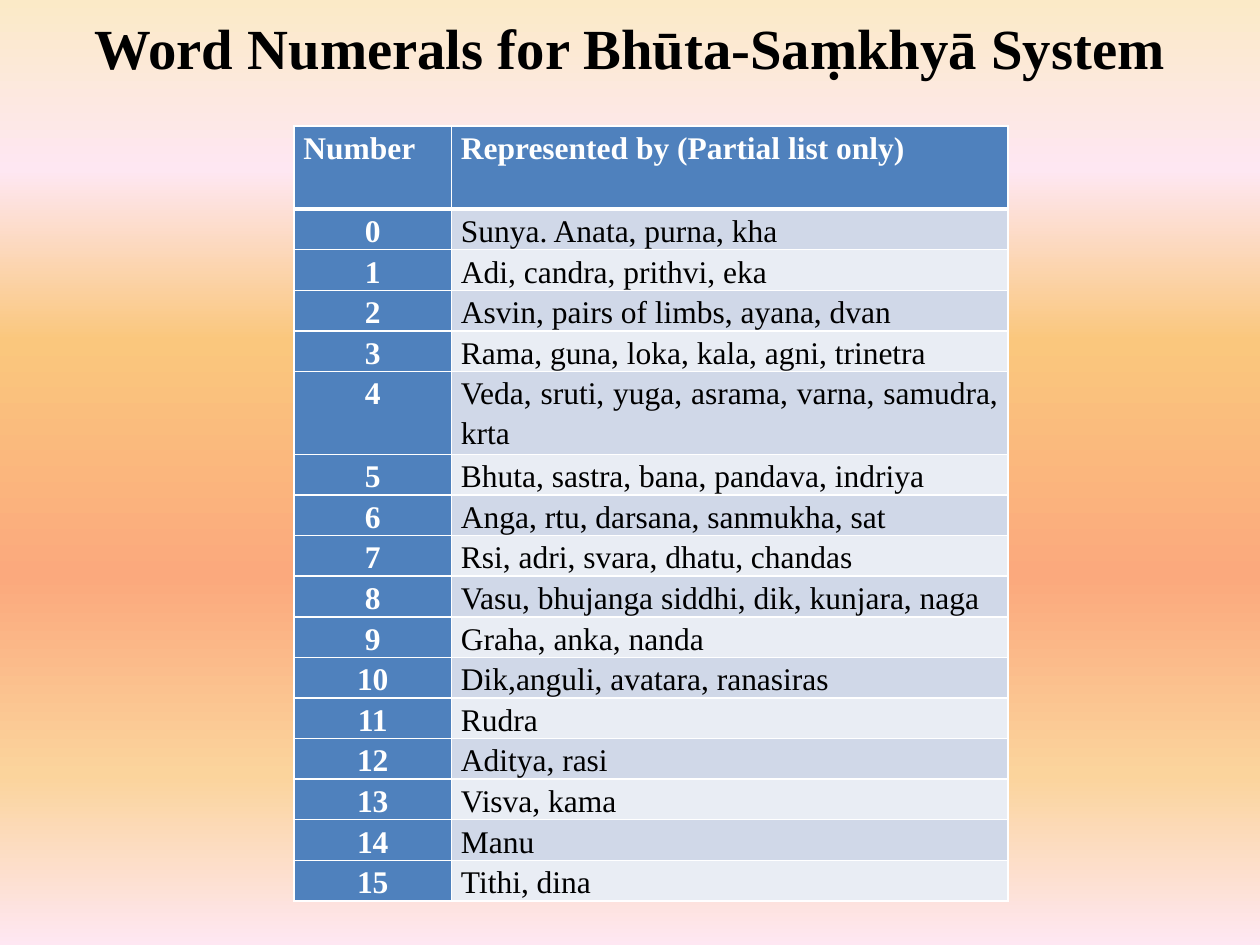
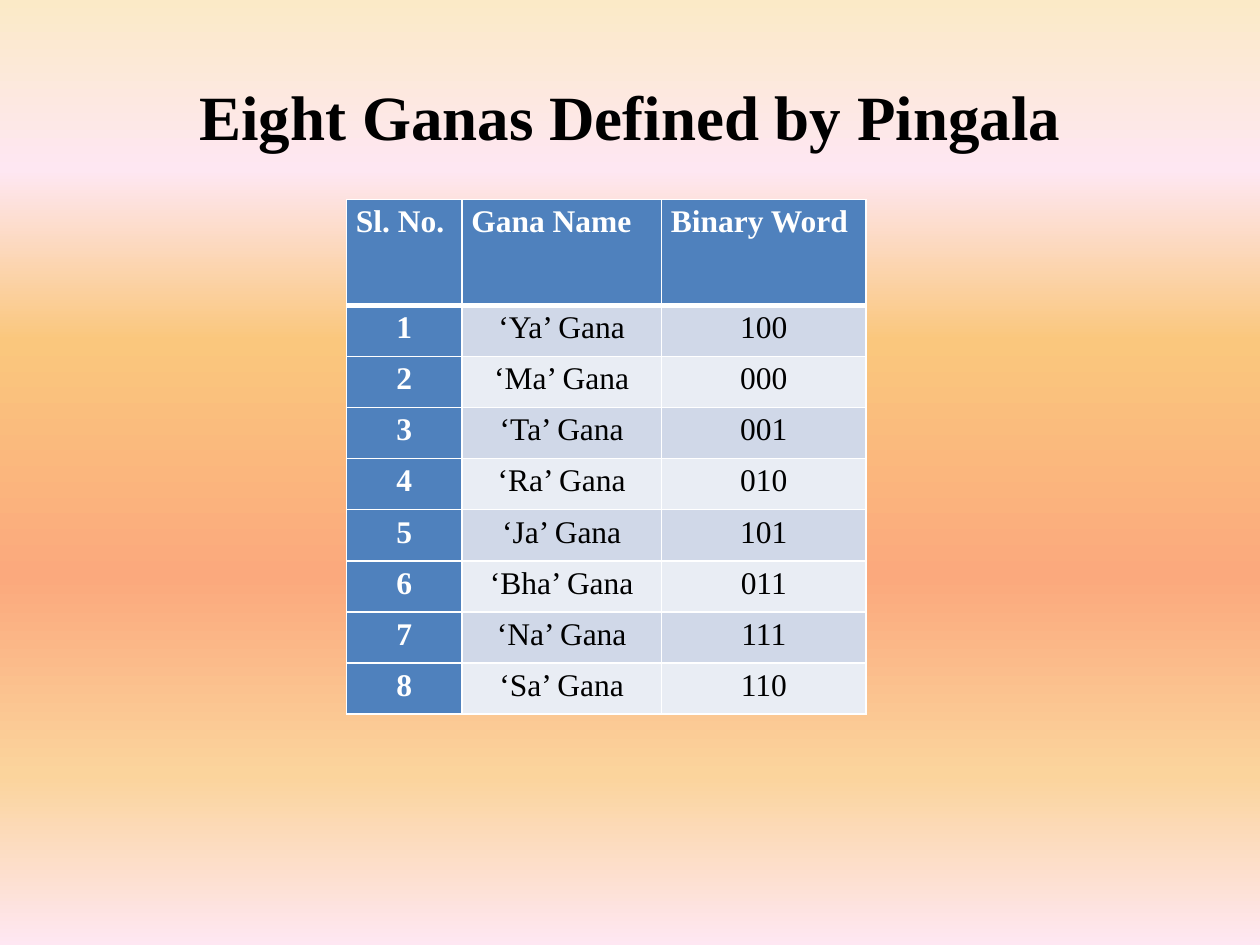
from dataclasses import dataclass

from lxml.etree import SubElement
from pptx import Presentation
from pptx.dml.color import RGBColor
from pptx.enum.text import MSO_ANCHOR as Anchor
from pptx.enum.text import MSO_AUTO_SIZE as AutoSize
from pptx.enum.text import PP_ALIGN as Align
from pptx.oxml.ns import qn
from pptx.util import Pt


@dataclass(frozen=True)
class Theme:
    font: str = "Times New Roman"
    ink: str = "000000"
    light: str = "FFFFFF"
    accent: str = "4F81BD"
    bands: tuple[str, str] = ("D0D8E8", "E9EDF4")
    backdrop: tuple[tuple[int, str], ...] = (
        (0, "FBEAC7"), (18, "FEE7F2"), (36, "FAC77D"),
        (61, "FBA97D"), (82, "FBD49C"), (100, "FEE7F2"),
    )
    cell_size: float = 18
    border: float = 1
    header_border: float = 3


@dataclass(frozen=True)
class TablePage:
    title: str
    title_top: float
    title_size: float
    left: float
    top: float
    widths: tuple[float, ...]
    header_height: float
    row_height: float
    body_align: Align
    header: tuple[str, ...]
    rows: tuple[tuple[str, ...], ...]
    tall_rows: tuple[int, ...] = ()


THEME = Theme()

WORDS = (
    "Sunya. Anata, purna, kha",
    "Adi, candra, prithvi, eka",
    "Asvin, pairs of limbs, ayana, dvan",
    "Rama, guna, loka, kala, agni, trinetra",
    "Veda, sruti, yuga, asrama, varna, samudra, krta",
    "Bhuta, sastra, bana, pandava, indriya",
    "Anga, rtu, darsana, sanmukha, sat",
    "Rsi, adri, svara, dhatu, chandas",
    "Vasu, bhujanga siddhi, dik, kunjara, naga",
    "Graha, anka, nanda",
    "Dik,anguli, avatara, ranasiras",
    "Rudra",
    "Aditya, rasi",
    "Visva, kama",
    "Manu",
    "Tithi, dina",
)

GANAS = (
    ("Ya", "100"), ("Ma", "000"), ("Ta", "001"), ("Ra", "010"),
    ("Ja", "101"), ("Bha", "011"), ("Na", "111"), ("Sa", "110"),
)

PAGES = (
    TablePage(
        title="Word Numerals for Bhūta-Saṃkhyā System",
        title_top=6, title_size=32.4,
        left=168, top=72, widths=(90, 318),
        header_height=47.5, row_height=23.2, body_align=Align.JUSTIFY,
        header=("Number", "Represented by (Partial list only)"),
        rows=tuple((str(number), words) for number, words in enumerate(WORDS)),
        tall_rows=(5,),
    ),
    TablePage(
        title="Eight Ganas Defined by Pingala",
        title_top=45, title_size=36,
        left=198, top=114, widths=(66, 114, 117),
        header_height=60.5, row_height=29.2, body_align=Align.CENTER,
        header=("Sl. No.", "Gana Name", "Binary Word"),
        rows=tuple((str(number), f"‘{name}’ Gana", bits)
                   for number, (name, bits) in enumerate(GANAS, 1)),
    ),
)


def set_backdrop(deck) -> None:
    """Give the master the vertical gradient that every slide inherits."""
    fill = deck.slide_master.background.fill
    fill.gradient()
    fill.gradient_angle = 270
    stops = deck.slide_master.element.find(".//" + qn("a:gsLst"))
    for stop in list(stops):
        stops.remove(stop)
    for percent, color in THEME.backdrop:
        stop = SubElement(stops, qn("a:gs"), pos=str(percent * 1000))
        SubElement(stop, qn("a:srgbClr"), val=color)


def format_font(font, size: float, color: str, bold: bool) -> None:
    font.name = THEME.font
    font.size = Pt(size)
    font.bold = bold
    font.color.rgb = RGBColor.from_string(color)


def set_title(page, content: TablePage) -> None:
    title = page.shapes.title
    title.left, title.top = Pt(36), Pt(content.title_top)
    title.width, title.height = Pt(648), Pt(42)
    frame = title.text_frame
    frame.text = content.title
    frame.auto_size = AutoSize.NONE
    frame.vertical_anchor = Anchor.MIDDLE
    para = frame.paragraphs[0]
    para.alignment = Align.CENTER
    format_font(para.runs[0].font, content.title_size, THEME.ink, True)


def set_borders(cell, row: int) -> None:
    """Draw thin borders, with a thick line between header and body."""
    top = THEME.header_border if row == 1 else THEME.border
    bottom = THEME.header_border if row == 0 else THEME.border
    properties = cell._tc.get_or_add_tcPr()
    for side, width in (("L", THEME.border), ("R", THEME.border),
                        ("T", top), ("B", bottom)):
        line = SubElement(properties, qn(f"a:ln{side}"), w=str(Pt(width)))
        fill = SubElement(line, qn("a:solidFill"))
        SubElement(fill, qn("a:srgbClr"), val=THEME.light)


def fill_cell(cell, text: str, row: int, column: int, body_align: Align) -> None:
    is_header = row == 0
    is_accent = is_header or column == 0
    set_borders(cell, row)
    cell.fill.solid()
    color = THEME.accent if is_accent else THEME.bands[(row - 1) % 2]
    cell.fill.fore_color.rgb = RGBColor.from_string(color)
    cell.margin_left = cell.margin_right = Pt(5.4)
    cell.margin_top = cell.margin_bottom = Pt(0)
    cell.text_frame.text = text
    para = cell.text_frame.paragraphs[0]
    if is_header:
        para.alignment = Align.JUSTIFY
    else:
        para.alignment = Align.CENTER if column == 0 else body_align
    para.line_spacing = 1.15
    para.space_after = Pt(10)
    ink = THEME.light if is_accent else THEME.ink
    format_font(para.runs[0].font, THEME.cell_size, ink, is_accent)


def add_number_table(page, content: TablePage) -> None:
    lines = (content.header, *content.rows)
    heights = [content.header_height if row == 0 or row in content.tall_rows
               else content.row_height for row in range(len(lines))]
    table = page.shapes.add_table(
        len(lines), len(content.widths), Pt(content.left), Pt(content.top),
        Pt(sum(content.widths)), Pt(sum(heights))).table
    table.first_col = True
    for column, width in zip(table.columns, content.widths):
        column.width = Pt(width)
    for row, (texts, height) in enumerate(zip(lines, heights)):
        table.rows[row].height = Pt(height)
        for column, text in enumerate(texts):
            fill_cell(table.cell(row, column), text, row, column, content.body_align)


def main() -> None:
    deck = Presentation()
    deck.slide_width, deck.slide_height = Pt(720), Pt(540)
    set_backdrop(deck)
    title_only = deck.slide_layouts.get_by_name("Title Only")
    for content in PAGES:
        page = deck.slides.add_slide(title_only)
        set_title(page, content)
        add_number_table(page, content)
    deck.save("out.pptx")


if __name__ == "__main__":
    main()
